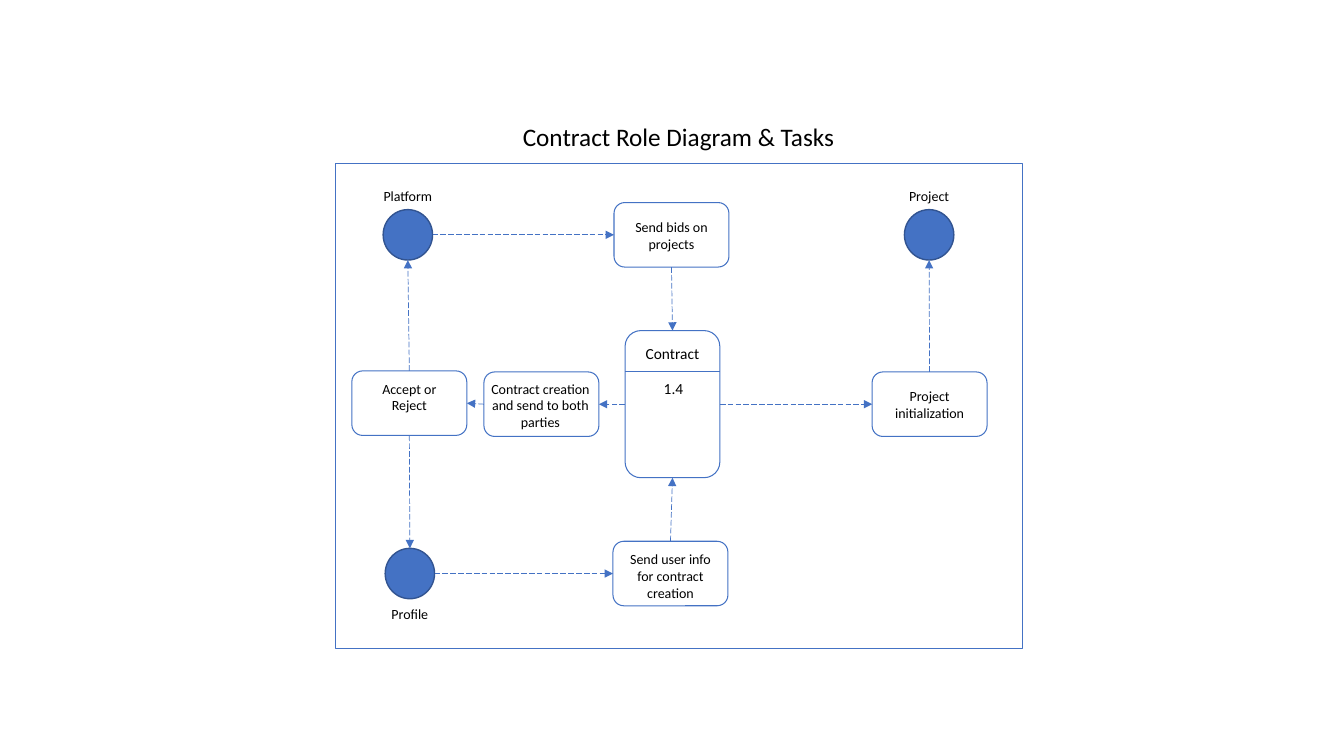
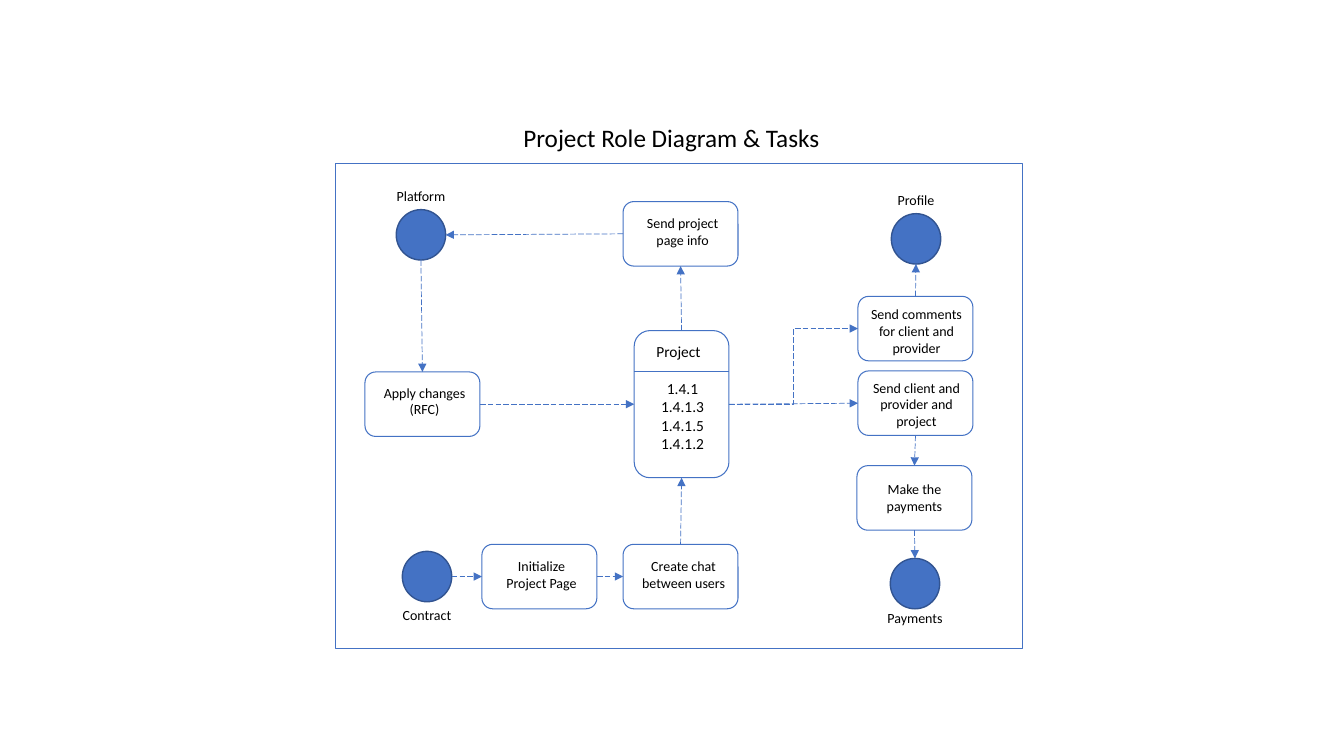
from lxml.etree import SubElement
from pptx import Presentation
from pptx.dml.color import RGBColor as RGB
from pptx.enum.dml import MSO_LINE_DASH_STYLE as DASH
from pptx.enum.shapes import MSO_CONNECTOR as LINK, MSO_SHAPE as SHAPE
from pptx.enum.text import MSO_ANCHOR as ANCHOR, PP_ALIGN as ALIGN
from pptx.oxml.ns import qn
from pptx.util import Pt

PX = 9144  # EMU per px, 100 px to the inch
FONT = "Calibri"
COLORS = {"ink": "000000", "blue": "4472C4", "rim": "325491"}
BOX_W, BOX_H = 114, 64
CARD_W, CARD_H, HEAD_H = 94, 146, 40
DOT_W, DOT_H = 49, 50
INSET = 3  # text inset caused by the rounded corners

# Connection sites in order: name, share of width, share of height
SITES = {"top": (0.5, 0), "left": (0, 0.5), "bottom": (0.5, 1), "right": (1, 0.5)}


def emu(*sizes):
    return [round(size * PX) for size in sizes]


def color(name):
    return RGB.from_string(COLORS[name])


# Text
def write(frame, text, *, size=10, tint="ink", align=ALIGN.CENTER,
          margins=(10, 5, 10, 5)):
    frame.word_wrap = True
    frame.vertical_anchor = ANCHOR.TOP
    (frame.margin_left, frame.margin_top,
     frame.margin_right, frame.margin_bottom) = emu(*margins)
    for i, line in enumerate(text.split("\n")):
        para = frame.paragraphs[0] if i == 0 else frame.add_paragraph()
        para.alignment = align
        run = para.add_run()
        run.text = line
        run.font.name, run.font.size = FONT, Pt(size)
        run.font.color.rgb = color(tint)


def label(slide, text, mid, top, width, height, **style):
    """Place text centred on the x position mid."""
    area = emu(mid - width / 2, top, width, height)
    write(slide.shapes.add_textbox(*area).text_frame, text, **style)


# Shapes
def outline(slide, kind, area, *, fill=None, rim="blue", weight=0.75):
    shape = slide.shapes.add_shape(kind, *emu(*area))
    shape.shadow.inherit = False
    if fill:
        shape.fill.solid()
        shape.fill.fore_color.rgb = color(fill)
    else:
        shape.fill.background()
    shape.line.color.rgb = color(rim)
    shape.line.width = Pt(weight)
    return shape


def box(slide, text, left, top, *, drop=10, side=15, shift=0):
    """Task box: drop and shift move its text down and right."""
    shape = outline(slide, SHAPE.ROUNDED_RECTANGLE, (left, top, BOX_W, BOX_H))
    pad = side - INSET
    write(shape.text_frame, text,
          margins=(pad + shift, drop + 5 - INSET, pad - shift, 0))
    return shape


def dot(slide, text, left, top, *, gap=-27):
    """Role dot, with its name gap px below the top of the dot."""
    shape = outline(slide, SHAPE.FLOWCHART_CONNECTOR, (left, top, DOT_W, DOT_H),
                    fill="blue", rim="rim", weight=1)
    label(slide, text, left + DOT_W / 2, top + gap, 90, 27)
    return shape


def card(slide, name, tasks, left, top, *, drop=8, shift=0):
    shape = outline(slide, SHAPE.ROUNDED_RECTANGLE, (left, top, CARD_W, CARD_H))
    mid, rule = left + CARD_W / 2, top + HEAD_H
    stroke(slide, LINK.STRAIGHT, emu(left, rule, left + CARD_W, rule))
    label(slide, name, mid + shift, top + drop, CARD_W, 29, size=11)
    label(slide, tasks, mid + 1, rule + 3, CARD_W, 84, size=11)
    return shape


# Lines
def stroke(slide, kind, ends, *, arrow=False):
    line = slide.shapes.add_connector(kind, *ends)
    line.line.color.rgb = color("blue")
    line.line.width = Pt(0.5)
    props = line.element.spPr
    if arrow:
        line.line.dash_style = DASH.LONG_DASH
        SubElement(props.get_or_add_ln(), qn("a:tailEnd"), type="triangle")
    SubElement(props, qn("a:effectLst"))
    return line


def site(shape, side):
    across, down = SITES[side]
    return (round(shape.left + across * shape.width),
            round(shape.top + down * shape.height))


def link(slide, start, out, end, into, kind=LINK.STRAIGHT):
    """Dashed arrow glued to one side of each shape."""
    ends = site(start, out) + site(end, into)
    line = stroke(slide, kind, ends, arrow=True)
    glue = line.element.nvCxnSpPr.cNvCxnSpPr
    for tag, shape, side in (("a:stCxn", start, out), ("a:endCxn", end, into)):
        # A dot has eight sites, a box four
        step = 2 if shape.auto_shape_type == SHAPE.FLOWCHART_CONNECTOR else 1
        SubElement(glue, qn(tag), id=str(shape.shape_id),
                   idx=str(list(SITES).index(side) * step))


# Slides
def base(deck, title, mid, top):
    slide = deck.slides.add_slide(deck.slide_layouts[6])
    label(slide, title, mid, top, 400, 40, size=18)
    outline(slide, SHAPE.RECTANGLE, (333, 162, 681, 481))
    return slide


def contract(deck):
    slide = base(deck, "Contract Role Diagram & Tasks", 673, 115)
    hub = card(slide, "Contract", "1.4", 620, 328)
    platform = dot(slide, "Platform", 380, 208)
    project = dot(slide, "Project", 897, 208)
    profile = dot(slide, "Profile", 382, 544, gap=52)
    bids = box(slide, "Send bids on projects", 609, 201, drop=11)
    start = box(slide, "Project initialization", 865, 369)
    info = box(slide, "Send user info for contract creation", 608, 537, drop=4)
    create = box(slide, "Contract creation and send to both parties", 480, 369,
                 drop=3, side=4, shift=-1)
    choice = box(slide, "Accept or Reject", 349, 368, drop=4)
    for ends in (
        (platform, "right", bids, "left"),
        (bids, "bottom", hub, "top"),
        (hub, "right", start, "left"),
        (start, "top", project, "bottom"),
        (profile, "right", info, "left"),
        (info, "top", hub, "bottom"),
        (hub, "left", create, "right"),
        (create, "left", choice, "right"),
        (choice, "top", platform, "bottom"),
        (choice, "bottom", profile, "top"),
    ):
        link(slide, *ends)


def project(deck):
    slide = base(deck, "Project Role Diagram & Tasks", 666, 116)
    hub = card(slide, "Project", "1.4.1\n1.4.1.3\n1.4.1.5\n1.4.1.2", 629, 328,
               drop=6, shift=-3)
    platform = dot(slide, "Platform", 393, 208)
    contract = dot(slide, "Contract", 399, 547, gap=50)
    profile = dot(slide, "Profile", 884, 212)
    payments = dot(slide, "Payments", 883, 554, gap=46)
    page = box(slide, "Send project page info", 618, 200, drop=8, shift=2)
    setup = box(slide, "Initialize Project Page", 478, 540, drop=8, shift=2)
    chat = box(slide, "Create chat between users", 618, 540, drop=8, shift=3)
    change = box(slide, "Apply changes (RFC)", 362, 369, drop=7, shift=2)
    review = box(slide, "Send comments for client and provider", 851, 294,
                 drop=4, side=10, shift=1)
    client = box(slide, "Send client and provider and project", 851, 368,
                 drop=3, side=10, shift=1)
    pay = box(slide, "Make the payments", 850, 462, side=10)
    for ends in (
        (hub, "top", page, "bottom"),
        (page, "left", platform, "right"),
        (platform, "bottom", change, "top"),
        (change, "right", hub, "left"),
        (contract, "right", setup, "left"),
        (setup, "right", chat, "left"),
        (chat, "top", hub, "bottom"),
        (review, "top", profile, "bottom"),
        (hub, "right", review, "left", LINK.ELBOW),
        (hub, "right", client, "left"),
        (client, "bottom", pay, "top"),
        (pay, "bottom", payments, "top"),
    ):
        link(slide, *ends)


def main():
    deck = Presentation()
    deck.slide_width, deck.slide_height = emu(1333, 750)
    contract(deck)
    project(deck)
    deck.save("out.pptx")


if __name__ == "__main__":
    main()
